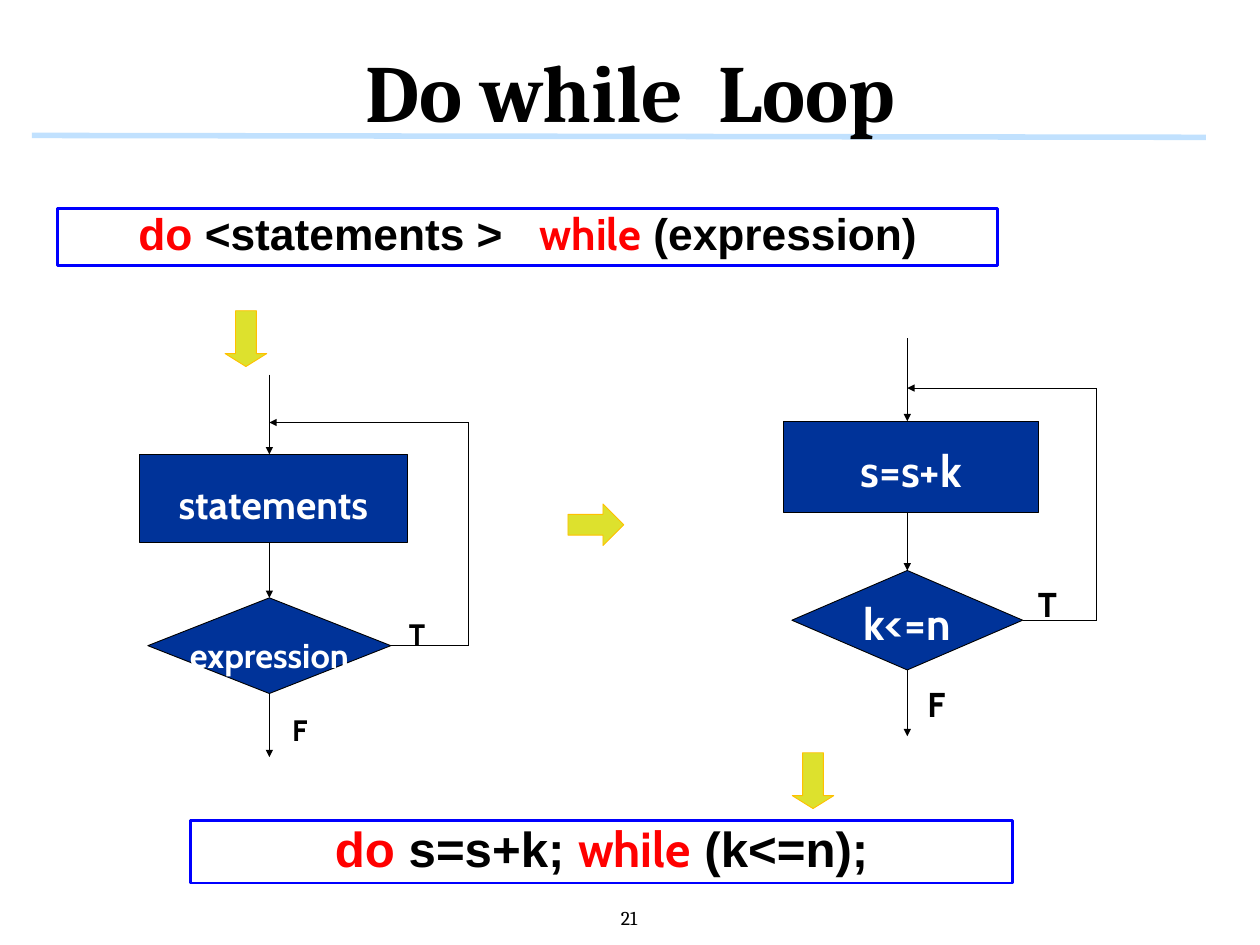
from lxml import etree
from pptx import Presentation
from pptx.dml.color import RGBColor
from pptx.enum.shapes import MSO_CONNECTOR, MSO_SHAPE as Preset
from pptx.enum.text import MSO_ANCHOR as Anchor, MSO_AUTO_SIZE as AutoSize, PP_ALIGN as Align
from pptx.oxml.ns import qn
from pptx.util import Inches, Pt

WIDTH, HEIGHT = Inches(14.22), Inches(10.67)
COLUMNS, ROWS = 100, 75
BLACK, WHITE, RED, BLUE = "000000", "FFFFFF", "FF0000", "0000FF"
NAVY, LIME, AMBER, SKY = "003399", "DDE12D", "FFC000", "C1E1FE"


def colour(hex_string):
    return RGBColor.from_string(hex_string)


def across(columns):
    return round(WIDTH * columns / COLUMNS)


def down(rows):
    return round(HEIGHT * rows / ROWS)


def place(left, top, width, height):
    return across(left), down(top), across(width), down(height)


class SlidePainter:
    """Draws on one page; positions are columns and rows of the grid."""

    def __init__(self, deck):
        self.page = deck.slides.add_slide(deck.slide_layouts[5])
        self.shapes = self.page.shapes

    def start_group(self):
        self.shapes = self.page.shapes.add_group_shape().shapes

    def end_group(self):
        self.shapes = self.page.shapes

    def set_text(self, box, runs, spacing, anchor=Anchor.MIDDLE, wrap=False, inset=None):
        """Fill a box with one centred paragraph of (text, size, font, colour, bold) runs."""
        frame = box.text_frame
        frame.word_wrap = wrap
        frame.auto_size = AutoSize.NONE
        frame.vertical_anchor = anchor
        if inset is not None:
            frame.margin_left = frame.margin_right = inset
            frame.margin_top = frame.margin_bottom = inset
        para = frame.paragraphs[0]
        para.alignment = Align.CENTER
        para.line_spacing = spacing
        for text, size, font, ink, bold in runs:
            span = para.add_run()
            span.text = text
            span.font.size = Pt(size)
            span.font.name = font
            span.font.bold = bold
            span.font.color.rgb = colour(ink)

    def title(self, text, area):
        box = self.page.shapes.title
        box.left, box.top, box.width, box.height = place(*area)
        self.set_text(box, [(text, 66, "Cambria", BLACK, True)], Pt(96), wrap=True, inset=0)

    def shape(self, preset, area, fill=None, line=None, weight=0.75):
        shape = self.shapes.add_shape(preset, *place(*area))
        shape.shadow.inherit = False
        if fill:
            shape.fill.solid()
            shape.fill.fore_color.rgb = colour(fill)
        else:
            shape.fill.background()
        if line:
            shape.line.color.rgb = colour(line)
            shape.line.width = Pt(weight)
        else:
            shape.line.fill.background()
        return shape

    def line(self, start, end, ink=BLACK, weight=0.75, arrow=False):
        (x1, y1), (x2, y2) = start, end
        line = self.shapes.add_connector(
            MSO_CONNECTOR.STRAIGHT, across(x1), down(y1), across(x2), down(y2))
        line.line.color.rgb = colour(ink)
        line.line.width = Pt(weight)
        properties = line._element.spPr
        if arrow:
            etree.SubElement(properties.get_or_add_ln(), qn("a:tailEnd"), type="triangle")
        etree.SubElement(properties, qn("a:effectLst"))
        return line

    def node(self, preset, area, text, size):
        box = self.shape(preset, area, NAVY, BLACK)
        self.set_text(box, [(text, size, "Cabin", WHITE, True)], Pt(48))

    def label(self, area, text, size, fill=None):
        box = self.shape(Preset.RECTANGLE, area, fill)
        self.set_text(box, [(text, size, "Cabin", BLACK, True)], Pt(48))

    def syntax(self, area, size, body, condition):
        """Framed do-while statement with its keywords in red."""
        box = self.shape(Preset.RECTANGLE, area, line=BLUE, weight=2.25)
        runs = [("do ", "Arial", RED), (body, "Arial", BLACK),
                ("while", "Cabin", RED), (condition, "Arial", BLACK)]
        self.set_text(box, [(text, size, font, ink, True) for text, font, ink in runs],
                      0.9, Anchor.TOP, wrap=True)
        box.text_frame.auto_size = AutoSize.SHAPE_TO_FIT_TEXT

    def block_arrow(self, left, top, downward=False):
        arrow = self.shape(Preset.RIGHT_ARROW, (left, top, 4.43, 3.3), LIME, AMBER)
        if downward:
            arrow.rotation = 90
            arrow.adjustments[1] = 0.311

    def flowchart(self, centre, entry, stretch, body, test, label_size):
        """Loop chart hung from its entry point; stretch scales it across and down."""
        wide, tall = stretch

        def point(x, y):
            return centre + x * wide, entry + y * tall

        def area(x, y, width, height):
            return *point(x, y), width * wide, height * tall

        box_top, box_bottom = 6.33, 13.29
        test_top, test_middle, test_bottom = 17.72, 21.5, 25.31
        half_test, loop, join, leave = 9.64, 15.82, 3.8, 30.37
        self.start_group()
        self.node(Preset.DIAMOND,
                  area(-half_test, test_top, 2 * half_test, test_bottom - test_top), *test)
        self.node(Preset.RECTANGLE,
                  area(-10.34, box_top, 21.31, box_bottom - box_top), *body)
        self.label(area(half_test, 18.35, 4.15, 2.53), "T", label_size)
        self.label(area(0.7, test_bottom, 3.45, 3.8), "F", label_size, WHITE)
        for start, end in ((0, box_top), (box_bottom, test_top), (test_bottom, leave)):
            self.line(point(0, start), point(0, end), arrow=True)
        self.line(point(loop, test_middle), point(half_test, test_middle))
        self.line(point(loop, join), point(loop, test_middle))
        self.line(point(loop, join), point(0, join), arrow=True)
        self.end_group()

    def page_number(self, text, area):
        box = self.shapes.add_textbox(*place(*area))
        self.set_text(box, [(text, 16, "Cambria", BLACK, False)], Pt(19), inset=Inches(0.04))


def main():
    deck = Presentation()
    deck.slide_width, deck.slide_height = WIDTH, HEIGHT
    painter = SlidePainter(deck)

    painter.title("Do while  Loop", (0.07, 0.42, 99.93, 11.74))
    rule = painter.line((2.53, 10.75), (95.71, 10.9), SKY, 4.5)
    painter.page.shapes.title._element.addprevious(rule._element)
    painter.page_number("21", (48.8, 71.63, 2.25, 2.46))

    painter.syntax((4.57, 16.52, 74.61, 4.57), 36, "<statements >   ", " (expression)")
    painter.syntax((15.12, 65.09, 65.26, 4.99), 40, "s=s+k; ", " (k<=n);")

    painter.block_arrow(45.08, 40)
    for left, top in ((62.31, 60.31), (17.3, 25.23)):
        painter.block_arrow(left, top, downward=True)

    painter.flowchart(21.38, 29.73, (1, 1), ("statements", 32), ("expression", 28), 24)
    painter.flowchart(72.01, 26.85, (0.95, 1.04), ("s=s+k", 36), ("k<=n", 36), 28)

    deck.save("out.pptx")


if __name__ == "__main__":
    main()
